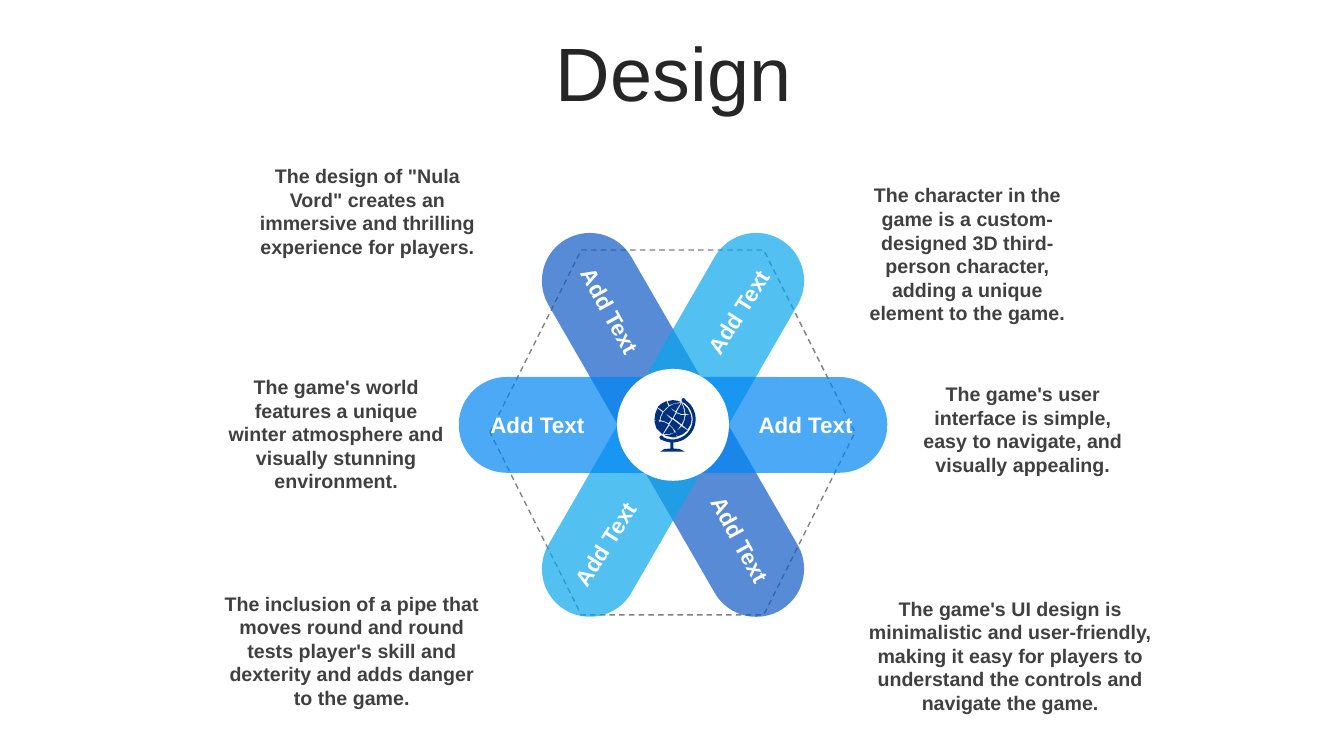
import math
from dataclasses import dataclass

import pptx
import pptx.dml.color
import pptx.enum.dml
import pptx.enum.shapes
import pptx.enum.text
import pptx.oxml
import pptx.oxml.ns
import pptx.util
from pptx.util import Inches

COLORS = {
    "title": "262626",
    "body": "404040",
    "outline": "808080",
    "white": "FFFFFF",
    "navy": "00307E",
    "royal": "125AC4",
    "sky": "0AA6ED",
    "azure": "0085F2",
}
FONT = "Arial"
SHAPES = pptx.enum.shapes.MSO_SHAPE
BAR_OPACITY = 70
Point = tuple[float, float]


@dataclass
class Bar:
    rotation: float
    color: str


@dataclass
class TextBlock:
    text: str
    left: float
    top: float
    width: float
    height: float
    rotation: float = 0
    size: int = 14
    color: str = "body"


def label(left: float, top: float, rotation: float = 0) -> TextBlock:
    return TextBlock("Add Text", left, top, 1.54, 0.37, rotation, 16, "white")


BARS = [Bar(330, "royal"), Bar(30, "sky"), Bar(90, "azure")]

TEXT_BLOCKS = [
    label(5.28, 2.9, 61.2),
    label(6.57, 5.17, 61.2),
    label(6.55, 2.91, 302.3),
    label(5.23, 5.21, 302.3),
    label(7.22, 4.03),
    label(4.56, 4.03),
    TextBlock('The design of "Nula Vord" creates an immersive and thrilling experience for players.',
              2.43, 1.58, 2.43, 1.03),
    TextBlock("The inclusion of a pipe that moves round and round tests player's skill and dexterity "
              "and adds danger to the game.", 2.12, 5.82, 2.74, 1.27),
    TextBlock("The game's world features a unique winter atmosphere and visually stunning environment.",
              2.12, 3.67, 2.43, 1.27),
    TextBlock("The character in the game is a custom-designed 3D third-person character, "
              "adding a unique element to the game.", 8.38, 1.77, 2.43, 1.5),
    TextBlock("The game's user interface is simple, easy to navigate, and visually appealing.",
              8.93, 3.74, 2.43, 1.03),
    TextBlock("The game's UI design is minimalistic and user-friendly, making it easy for players "
              "to understand the controls and navigate the game.", 8.48, 5.87, 3.08, 1.27),
]

GLOBE_PANELS: list[list[Point]] = [
    [(670, 429), (671, 431), (671, 434), (667, 434), (659, 432), (665, 431)],
    [(676, 423), (682, 427), (677, 431), (672, 433), (671, 430), (670, 428), (673, 426)],
    [(664, 422), (667, 425), (669, 429), (664, 430.5), (658, 431)],
    [(655, 418), (659, 419), (663, 421), (657, 431), (655, 426), (654, 420)],
    [(652, 417), (654, 418), (654, 420), (655, 426), (657, 431), (651, 425), (649, 418)],
    [(667, 416), (675, 422), (673, 425), (670, 428), (667, 424), (664, 421)],
    [(685, 411), (686, 416), (685, 421), (682, 426), (677, 422), (679, 417), (680, 412)],
    [(671, 410), (675, 411.5), (679, 412), (678, 417), (676, 421), (668, 415)],
    [(658, 409), (666, 416), (663, 420), (659, 418), (655, 417), (656, 413)],
    [(652, 405), (657, 409), (655, 413), (654, 417), (649, 417), (650, 410)],
    [(664, 403), (667, 407), (670, 409), (667, 415), (658, 409), (661, 406)],
    [(676, 400), (678, 405.5), (679, 411), (675, 410.5), (671, 409)],
    [(675, 400), (670, 408), (667, 406), (664, 403), (669, 400.5)],
    [(677, 400), (682, 405), (685, 411), (680, 411), (679, 405.5)],
    [(661, 398), (663, 403), (660, 405.5), (658, 408), (652, 404), (656, 400.5)],
    [(667, 397), (671.5, 397.5), (676, 399), (669, 400), (664, 402), (662, 398)],
]


def rgb(name: str) -> pptx.dml.color.RGBColor:
    return pptx.dml.color.RGBColor.from_string(COLORS[name])


def arc(radius: float, start: int, end: int, steps: int = 16) -> list[Point]:
    angles = [math.radians(start + (end - start) * step / steps) for step in range(steps + 1)]
    return [(667 + radius * math.cos(angle), 416 + radius * math.sin(angle)) for angle in angles]


def globe_stand() -> list[Point]:
    foot = [(668, 445), (674, 445.5), (679, 448), (655, 448), (659, 445.5), (665, 445)]
    lower_knob = [(655, 436), (654, 434), (654.6, 432.6), (656, 432), (657.5, 432.7)]
    upper_knob = [(678, 400), (676.6, 399), (676, 397), (676.6, 395.6), (678, 395), (679.5, 395.6)]
    return [*arc(23, -56, 88), *foot, *arc(23, 95, 116), *lower_knob,
            *arc(20, 116, -56), *upper_knob]


def style_shape(shape, color: str) -> None:
    shape.shadow.inherit = False
    shape.fill.solid()
    shape.fill.fore_color.rgb = rgb(color)
    shape.line.fill.background()


def style_paragraph(paragraph, size: int, color: str, bold: bool) -> None:
    paragraph.alignment = pptx.enum.text.PP_ALIGN.CENTER
    paragraph.font.name = FONT
    paragraph.font.size = pptx.util.Pt(size)
    paragraph.font.bold = bold
    paragraph.font.color.rgb = rgb(color)


def add_title(slide) -> None:
    title = slide.shapes.title
    title.left, title.top = Inches(0.35), Inches(0.37)
    title.width, title.height = Inches(12.66), Inches(0.79)
    frame = title.text_frame
    frame.text = "Design"
    frame.auto_size = pptx.enum.text.MSO_AUTO_SIZE.NONE
    frame.vertical_anchor = pptx.enum.text.MSO_ANCHOR.MIDDLE
    frame.paragraphs[0].line_spacing = 0.9
    style_paragraph(frame.paragraphs[0], 54, "title", False)


def add_hexagon(slide) -> None:
    hexagon = slide.shapes.add_shape(SHAPES.HEXAGON, Inches(4.86), Inches(2.48), Inches(3.62), Inches(3.62))
    hexagon.shadow.inherit = False
    hexagon.fill.background()
    hexagon.line.color.rgb = rgb("outline")
    hexagon.line.width = pptx.util.Pt(1)
    hexagon.line.dash_style = pptx.enum.dml.MSO_LINE.DASH


def add_bar(slide, bar: Bar) -> None:
    shape = slide.shapes.add_shape(SHAPES.ROUNDED_RECTANGLE, Inches(6.2), Inches(2.09), Inches(0.95), Inches(4.25))
    shape.adjustments[0] = 0.5
    shape.rotation = bar.rotation
    style_shape(shape, bar.color)
    color_element = shape._element.spPr.find(".//" + pptx.oxml.ns.qn("a:srgbClr"))
    alpha = color_element.makeelement(pptx.oxml.ns.qn("a:alpha"), {"val": str(BAR_OPACITY * 1000)})
    color_element.append(alpha)


def add_globe(slide) -> None:
    hub = slide.shapes.add_shape(SHAPES.OVAL, Inches(6.12), Inches(3.66), Inches(1.11), Inches(1.11))
    style_shape(hub, "white")
    contours = [[(x * 10, y * 10) for x, y in contour] for contour in [*GLOBE_PANELS, globe_stand()]]
    builder = slide.shapes.build_freeform(*contours[0][0], scale=Inches(1) / 1000)
    builder.add_line_segments(contours[0][1:], close=True)
    for contour in contours[1:]:
        builder.move_to(*contour[0])
        builder.add_line_segments(contour[1:], close=True)
    style_shape(builder.convert_to_shape(), "navy")


def add_text_block(slide, block: TextBlock) -> None:
    shape = slide.shapes.add_textbox(
        Inches(block.left), Inches(block.top), Inches(block.width), Inches(block.height))
    shape.rotation = block.rotation
    frame = shape.text_frame
    frame.word_wrap = True
    frame.auto_size = pptx.enum.text.MSO_AUTO_SIZE.SHAPE_TO_FIT_TEXT
    frame.text = block.text
    style_paragraph(frame.paragraphs[0], block.size, block.color, True)


def main() -> None:
    presentation = pptx.Presentation()
    presentation.slide_width, presentation.slide_height = Inches(13.33), Inches(7.5)
    slide = presentation.slides.add_slide(presentation.slide_layouts.get_by_name("Title Only"))
    add_title(slide)
    add_hexagon(slide)
    for bar in BARS:
        add_bar(slide, bar)
    add_globe(slide)
    for block in TEXT_BLOCKS:
        add_text_block(slide, block)
    presentation.save("out.pptx")


if __name__ == "__main__":
    main()
